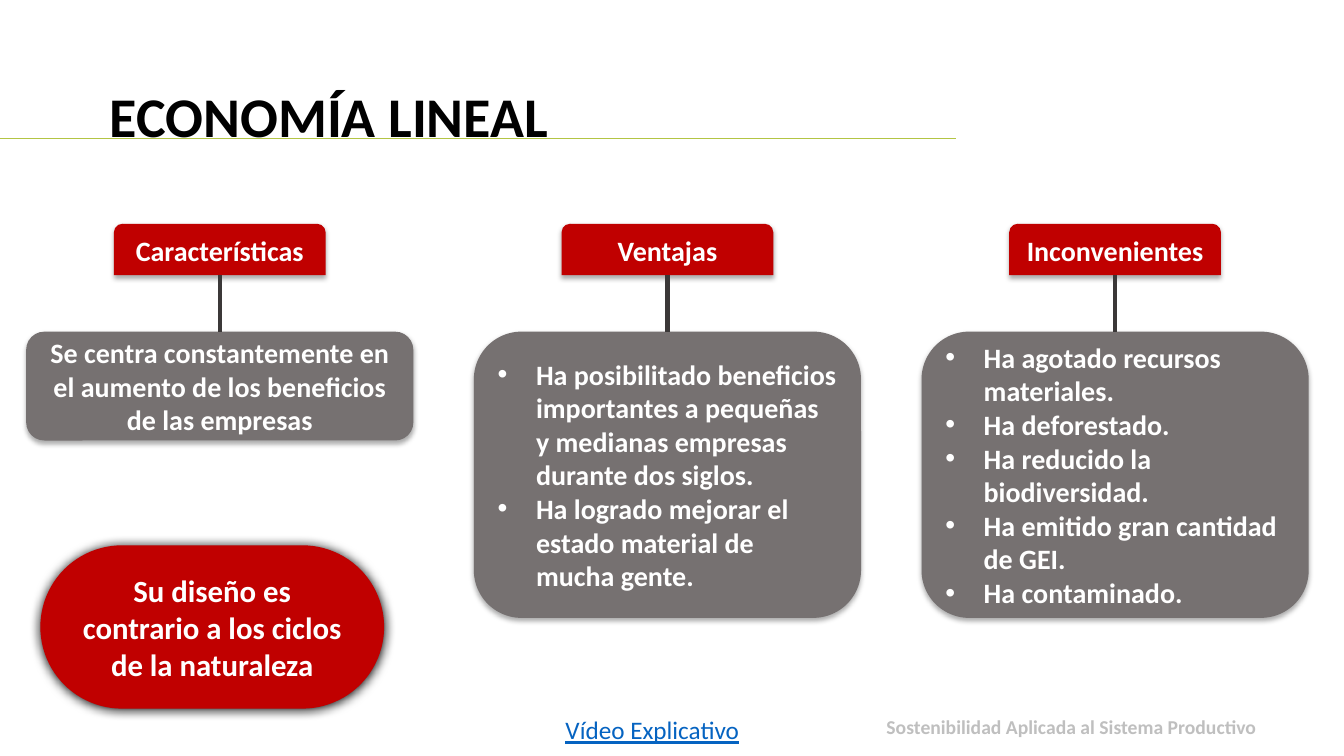
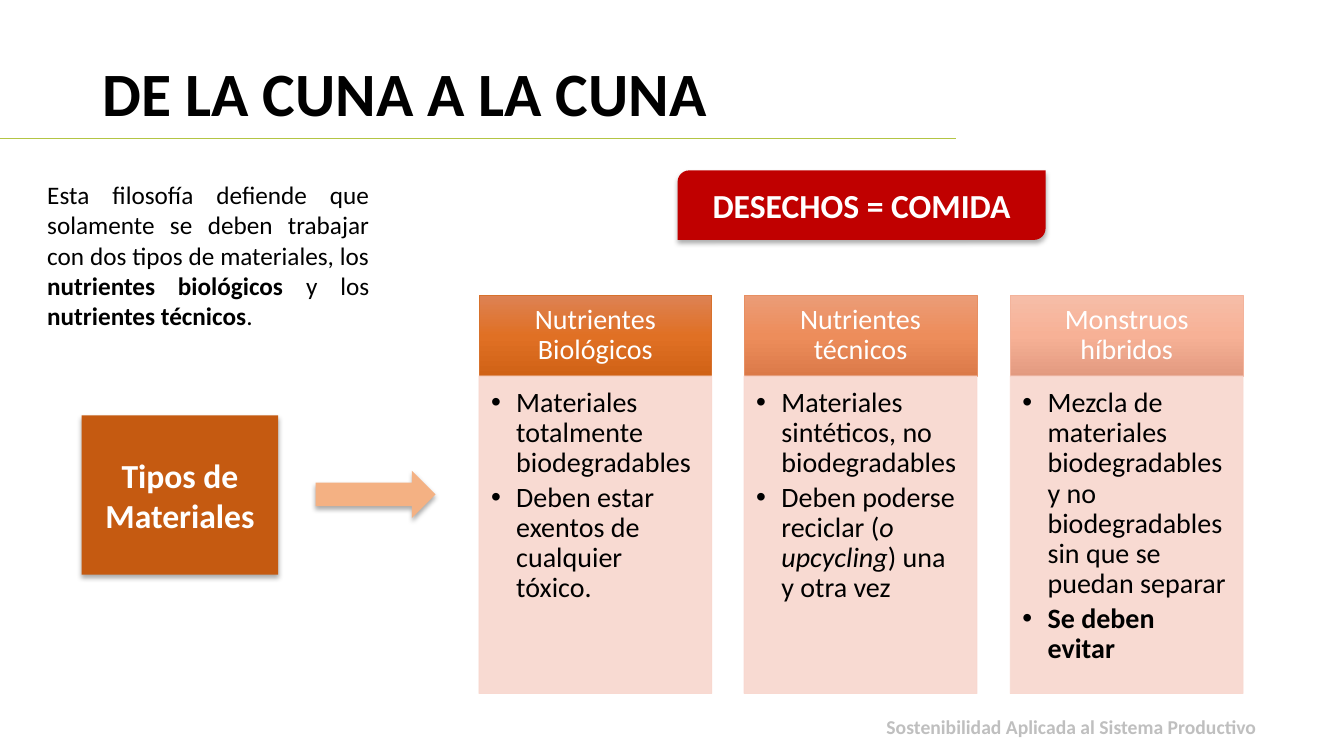
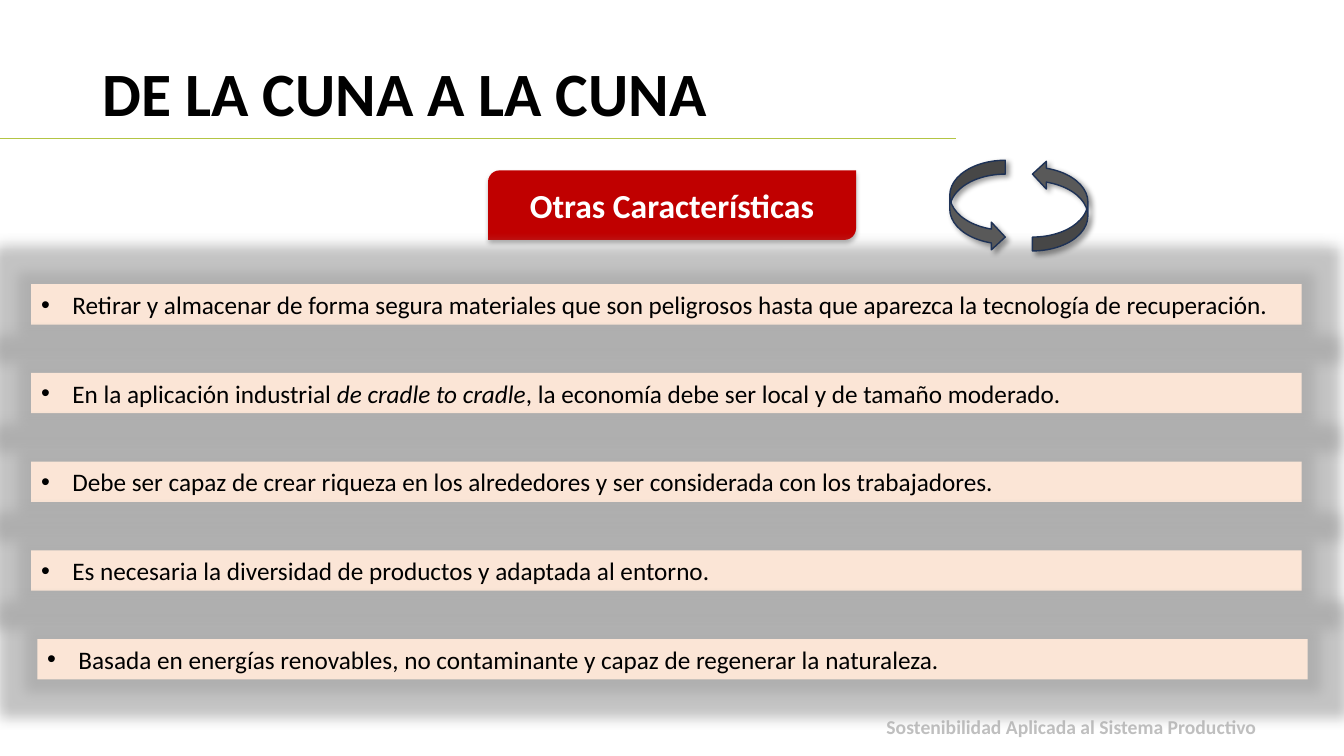
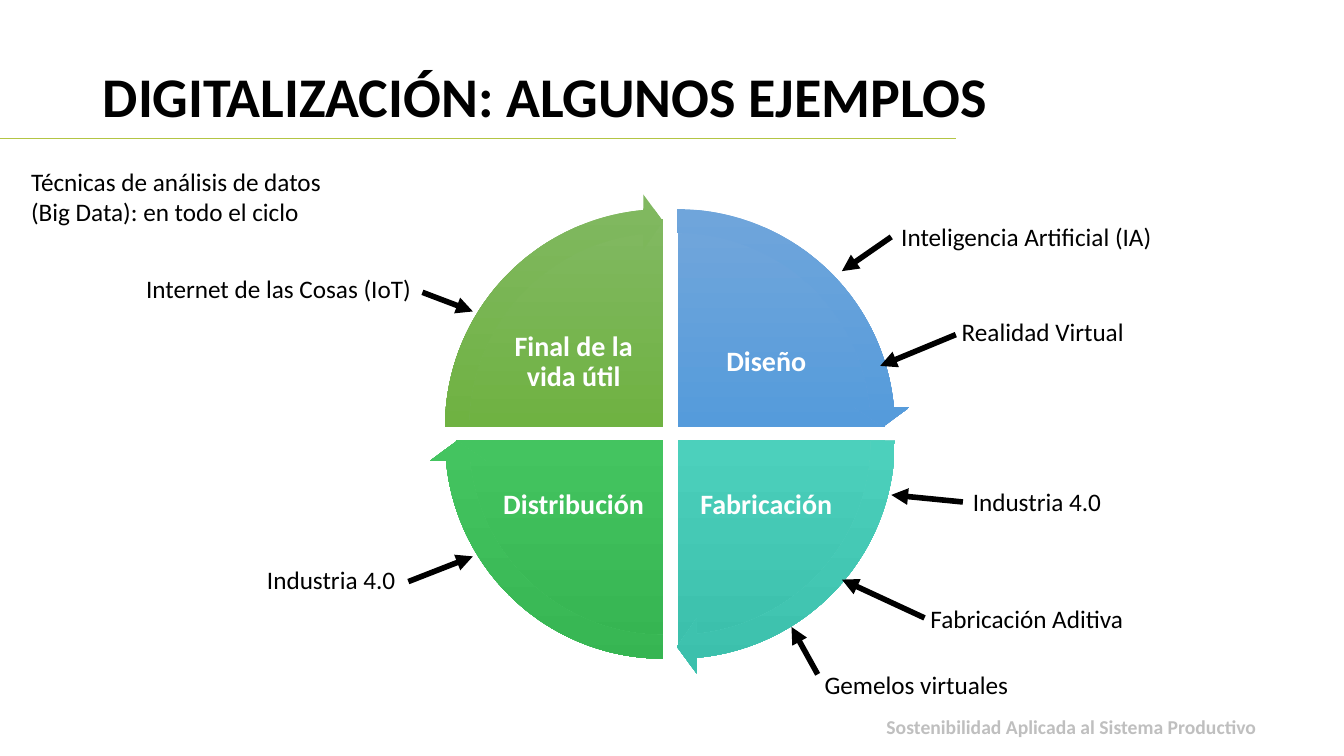
from copy import deepcopy
from dataclasses import dataclass
from typing import NamedTuple, Sequence

from lxml.etree import SubElement
from pptx import Presentation
from pptx.dml.color import RGBColor
from pptx.enum.shapes import MSO_CONNECTOR, MSO_SHAPE as Kind
from pptx.enum.text import MSO_ANCHOR as Anchor, MSO_AUTO_SIZE as Fit, PP_ALIGN as Align
from pptx.oxml.ns import qn
from pptx.shapes.autoshape import Shape
from pptx.shapes.connector import Connector
from pptx.slide import Slide
from pptx.util import Emu, Pt

SCALE = 9144  # EMU in one px, 100 px to the inch
FONT = "Calibri"
RED, GREY, WHITE, BLACK = "C00000", "767171", "FFFFFF", "000000"
LIME, SILVER, BLUE = "B3C544", "BFBFBF", "0563C1"
RUST, PEACH, CREAM, ROSE = "C55A11", "F4B183", "FBE5D6", "F8D7CE"
TURN = 216  # full circle, in the units of shape adjustments


class Box(NamedTuple):
    x: int
    y: int
    w: int
    h: int


class Run(NamedTuple):
    text: str
    bold: bool = False
    slant: bool = False
    under: bool = False


Para = Sequence[Run]


class Glow(NamedTuple):
    """Shadow: opacity in percent, blur and distance in points, angle."""
    alpha: int
    blur: float
    dist: float
    angle: int


SOFT = Glow(32, 3.5, 2.2, 90)
HARD = Glow(100, 8.5, 1, 90)
SLANT = Glow(40, 4, 3, 45)


@dataclass(frozen=True)
class Look:
    size: int
    hue: str = WHITE
    align: Align = Align.CENTER
    anchor: Anchor = Anchor.MIDDLE
    ins: tuple[int, int, int, int] = (10, 5, 10, 5)
    hang: int = 0
    lead: float = 1
    after: int = 0
    grow: bool = False


NOTE = Look(18, BLACK, Align.LEFT, Anchor.TOP, grow=True)
HEAD = Look(20)
LIST = Look(20, align=Align.LEFT, hang=38)
BANNER = Look(24)
FOOT = Look(14, SILVER, Align.RIGHT, Anchor.TOP, lead=0.9)


class Column(NamedTuple):
    head: str
    high: int
    look: Look
    paras: Sequence[Para]


class Card(NamedTuple):
    head: str
    hues: tuple[str, str, str]
    edge: str
    paras: Sequence[Para]


class Part(NamedTuple):
    name: str
    east: int
    south: int
    start: int
    hues: tuple[str, str, str]


class Tag(NamedTuple):
    text: str
    box: Box
    tail: tuple[int, int]
    tip: tuple[int, int]


def px(num: int) -> Emu:
    return Emu(num * SCALE)


def rgb(code: str) -> RGBColor:
    return RGBColor.from_string(code)


def bold(text: str) -> Para:
    return [Run(text, True)]


def plain(text: str) -> Para:
    return [Run(text)]


def write(shape: Shape, paras: Sequence[Para], look: Look) -> None:
    frame = shape.text_frame
    frame.word_wrap = True
    frame.auto_size = Fit.SHAPE_TO_FIT_TEXT if look.grow else Fit.NONE
    frame.vertical_anchor = look.anchor
    (frame.margin_left, frame.margin_top,
     frame.margin_right, frame.margin_bottom) = map(px, look.ins)
    for num, runs in enumerate(paras):
        para = frame.add_paragraph() if num else frame.paragraphs[0]
        para.alignment = look.align
        para.line_spacing = look.lead
        para.space_after = Pt(look.after)
        if look.hang:
            props = para._p.get_or_add_pPr()
            props.set("marL", str(px(look.hang)))
            props.set("indent", str(-px(look.hang)))
            SubElement(props, qn("a:buFont"), typeface="Arial")
            SubElement(props, qn("a:buChar"), char="•")
        for part in runs:
            run = para.add_run()
            run.text = part.text
            font = run.font
            font.name, font.size = FONT, Pt(look.size)
            font.bold, font.italic, font.underline = part.bold, part.slant, part.under
            font.color.rgb = rgb(look.hue)


def effect(shape: Shape, name: str, hue: str, alpha: int, **attrs: str) -> None:
    """Add one effect, such as a shadow or a glow, to a shape."""
    node = SubElement(shape.element.spPr.find(qn("a:effectLst")), qn(name), **attrs)
    tint = SubElement(node, qn("a:srgbClr"), val=hue)
    SubElement(tint, qn("a:alpha"), val=str(alpha * 1000))


def draw(slide: Slide, kind: Kind, box: Box, fill: str | Sequence[str],
         edge: str = "", width: float = 0.5, glow: Glow | None = None,
         adj: Sequence[float] = ()) -> Shape:
    """Add a preset shape; several fill colours make a downward gradient."""
    shape = slide.shapes.add_shape(kind, *map(px, box))
    shape.shadow.inherit = False
    for num, value in enumerate(adj):
        shape.adjustments[num] = value
    if isinstance(fill, str):
        shape.fill.solid()
        shape.fill.fore_color.rgb = rgb(fill)
    else:
        shape.fill.gradient()
        shape.fill.gradient_angle = 270
        stops = shape.element.spPr.find(f"{qn('a:gradFill')}/{qn('a:gsLst')}")
        stops.append(deepcopy(stops[0]))
        for num, (stop, hue) in enumerate(zip(shape.fill.gradient_stops, fill)):
            stop.color.rgb = rgb(hue)
            stop.position = num / 2
    if edge:
        shape.line.color.rgb = rgb(edge)
        shape.line.width = Pt(width)
    else:
        shape.line.fill.background()
    if glow:
        effect(shape, "a:outerShdw", BLACK, glow.alpha,
               blurRad=str(Pt(glow.blur)), dist=str(Pt(glow.dist)),
               dir=str(glow.angle * 60000), algn="ctr", rotWithShape="0")
    return shape


def label(slide: Slide, box: Box, paras: Sequence[Para], look: Look) -> Shape:
    shape = slide.shapes.add_textbox(*map(px, box))
    write(shape, paras, look)
    return shape


def wire(slide: Slide, start: tuple[int, int], end: tuple[int, int],
         hue: str, width: float, arrow: bool = False) -> Connector:
    line = slide.shapes.add_connector(
        MSO_CONNECTOR.STRAIGHT, *map(px, start + end))
    line.line.color.rgb = rgb(hue)
    line.line.width = Pt(width)
    if arrow:
        SubElement(line.line._get_or_add_ln(), qn("a:tailEnd"), type="triangle")
    SubElement(line.element.spPr, qn("a:effectLst"))
    return line


def start_slide(deck: Presentation, title: str, size: int, box: Box,
                anchor: Anchor, top: int = 5) -> Slide:
    """Add a slide with its title, rule and footer."""
    slide = deck.slides.add_slide(deck.slide_layouts[5])
    head = slide.shapes.title
    head.left, head.top, head.width, head.height = map(px, box)
    write(head, [bold(title)],
          Look(size, BLACK, Align.LEFT, anchor, (10, top, 10, 5), lead=0.9))
    wire(slide, (0, 137), (948, 137), LIME, 0.5)
    label(slide, Box(736, 707, 520, 49),
          [bold("Sostenibilidad Aplicada al Sistema Productivo")], FOOT)
    return slide


def banner(slide: Slide, x: int, text: str) -> None:
    shape = draw(slide, Kind.ROUND_2_DIAG_RECTANGLE, Box(x, 169, 365, 69), RED, glow=SOFT)
    write(shape, [bold(text)], BANNER)


TITLE = Box(92, 58, 1006, 145)

COLUMNS = [
    Column("Características", 108, HEAD, [bold(
        "Se centra constantemente en el aumento de los beneficios de las empresas")]),
    Column("Ventajas", 284, LIST, [
        bold("Ha posibilitado beneficios importantes a pequeñas y medianas "
             "empresas durante dos siglos."),
        bold("Ha logrado mejorar el estado material de mucha gente.")]),
    Column("Inconvenientes", 284, LIST, [
        bold("Ha agotado recursos materiales."),
        bold("Ha deforestado."),
        bold("Ha reducido la biodiversidad."),
        bold("Ha emitido gran cantidad de GEI."),
        bold("Ha contaminado.")]),
]

CARDS = [
    Card("Nutrientes Biológicos", ("DD8254", "E07024", "D06216"), "D7712C", [
        plain("Materiales totalmente biodegradables"),
        plain("Deben estar exentos de cualquier tóxico.")]),
    Card("Nutrientes técnicos", ("EB9C77", "ED8D5B", "DB7A49"), "E78F62", [
        plain("Materiales sintéticos, no biodegradables"),
        [Run("Deben poderse reciclar ("), Run("o upcycling", slant=True),
         Run(") una y otra vez")]]),
    Card("Monstruos híbridos", ("F6BDA8", "F7B196", "E29A80"), "F3B39B", [
        plain("Mezcla de materiales biodegradables y no biodegradables "
              "sin que se puedan separar"),
        bold("Se deben evitar")]),
]

TRAITS = [
    plain("Retirar y almacenar de forma segura materiales que son peligrosos "
          "hasta que aparezca la tecnología de recuperación."),
    [Run("En la aplicación industrial "), Run("de cradle to cradle", slant=True),
     Run(", la economía debe ser local y de tamaño moderado.")],
    plain("Debe ser capaz de crear riqueza en los alrededores y ser "
          "considerada con los trabajadores."),
    plain("Es necesaria la diversidad de productos y adaptada al entorno."),
    plain("Basada en energías renovables, no contaminante y capaz de "
          "regenerar la naturaleza."),
]

PARTS = [
    Part("Diseño", 1, 0, 162, ("71A6DB", "559BDB", "448ACA")),
    Part("Fabricación", 1, 1, 0, ("6AD1C0", "4CD0BC", "3CC0AC")),
    Part("Distribución", 0, 1, 54, ("64C677", "44C460", "36B552")),
    Part("Final de la vida útil", 0, 0, 108, ("81B861", "6FB242", "62A336")),
]

TAGS = [
    Tag("Inteligencia Artificial (IA)", Box(884, 215, 306, 40), (884, 235), (835, 269)),
    Tag("Realidad Virtual", Box(944, 309, 244, 40), (948, 332), (873, 363)),
    Tag("Industria 4.0", Box(955, 478, 244, 40), (955, 498), (884, 491)),
    Tag("Fabricación Aditiva", Box(913, 594, 266, 40), (917, 613), (835, 575)),
    Tag("Gemelos virtuales", Box(808, 659, 305, 40), (811, 669), (785, 622)),
    Tag("Internet de las Cosas (IoT)", Box(135, 266, 311, 40), (419, 290), (469, 309)),
    Tag("Industria 4.0", Box(255, 555, 244, 40), (405, 577), (469, 552)),
]


def linear(deck: Presentation) -> None:
    slide = start_slide(deck, "ECONOMÍA LINEAL", 40, Box(99, 46, 1006, 145), Anchor.MIDDLE)
    for num, col in enumerate(COLUMNS):
        x = 26 + 444 * num
        head = draw(slide, Kind.ROUND_2_SAME_RECTANGLE, Box(x + 87, 222, 210, 51),
                    RED, glow=SOFT)
        write(head, [bold(col.head)], HEAD)
        body = draw(slide, Kind.ROUNDED_RECTANGLE, Box(x, 329, 384, col.high),
                    GREY, glow=SOFT)
        write(body, col.paras, col.look)
        stem = wire(slide, (x + 192, 329), (x + 192, 273), "3B3838", 3)
        stem.begin_connect(body, 0)
    pill = draw(slide, Kind.ROUNDED_RECTANGLE, Box(40, 541, 341, 162), RED,
                glow=HARD, adj=[0.5])
    write(pill, [bold("Su diseño es contrario a los ciclos de la naturaleza")], Look(22))
    label(slide, Box(502, 704, 290, 40), [[Run("Vídeo Explicativo", under=True)]],
          Look(18, BLUE, anchor=Anchor.TOP, grow=True))


def cradle(deck: Presentation) -> None:
    slide = start_slide(deck, "DE LA CUNA A LA CUNA", 44, TITLE, Anchor.TOP)
    banner(slide, 672, "DESECHOS = COMIDA")
    top = Look(20, ins=(16, 9, 16, 9), lead=0.9)
    text = Look(20, BLACK, Align.LEFT, Anchor.TOP, (12, 12, 16, 17), 25, 0.9, 3)
    for num, card in enumerate(CARDS):
        x = 475 + 527 * num // 2
        head = draw(slide, Kind.RECTANGLE, Box(x, 293, 231, 80), card.hues, card.edge)
        write(head, [plain(card.head)], top)
        body = draw(slide, Kind.RECTANGLE, Box(x, 373, 231, 315), ROSE, ROSE)
        for tint in body.element.spPr.iter(qn("a:srgbClr")):
            SubElement(tint, qn("a:alpha"), val="90000")
        write(body, card.paras, text)
    kinds = draw(slide, Kind.RECTANGLE, Box(81, 412, 195, 158), RUST, glow=SOFT)
    write(kinds, [bold("Tipos de Materiales")], BANNER)
    draw(slide, Kind.RIGHT_ARROW, Box(313, 467, 119, 47), PEACH, glow=SOFT)
    label(slide, Box(37, 173, 339, 162), [[
        Run("Esta filosofía defiende que solamente se deben trabajar con dos "
            "tipos de materiales, los "),
        Run("nutrientes biológicos ", True), Run("y los "),
        Run("nutrientes técnicos", True), Run(".")]],
        Look(18, BLACK, Align.JUSTIFY, Anchor.TOP, grow=True))


def traits(deck: Presentation) -> None:
    slide = start_slide(deck, "DE LA CUNA A LA CUNA", 44, TITLE, Anchor.TOP)
    banner(slide, 484, "Otras Características")
    look = Look(18, BLACK, Align.LEFT, Anchor.TOP, hang=31, grow=True)
    for num, para in enumerate(TRAITS):
        x = 37 if para is TRAITS[-1] else 31
        bar = draw(slide, Kind.RECTANGLE, Box(x, 282 + 88 * num, 1260, 40), CREAM)
        effect(bar, "a:glow", "A5A5A5", 65, rad=str(Pt(18)))
        write(bar, [para], look)
    for x in (942, 1024):
        arrow = draw(slide, Kind.CURVED_RIGHT_ARROW, Box(x, 159, 55, 90), "595959",
                     "1E3256", 1, SLANT)
    for flip in ("flipH", "flipV"):
        arrow.element.spPr.xfrm.set(flip, "1")


def digital(deck: Presentation) -> None:
    slide = start_slide(deck, "DIGITALIZACIÓN: ALGUNOS EJEMPLOS", 40, TITLE, Anchor.TOP, 11)
    name = Look(20, ins=(3, 3, 3, 3), lead=0.9)
    for part in PARTS:
        draw(slide, Kind.PIE, Box(452 + 14 * part.east, 217 + 14 * part.south, 412, 412),
             part.hues, adj=[part.start, (part.start + TURN // 4) % TURN])
        label(slide, Box(493 + 191 * part.east, 303 + 142 * part.south, 152, 113),
              [bold(part.name)], name)
    for part in PARTS:
        draw(slide, Kind.CIRCULAR_ARROW,
             Box(426 + 14 * part.east, 192 + 14 * part.south, 463, 463), part.hues,
             adj=[0.051, 3.275, part.start + 50.725, part.start, 0.059])
    label(slide, Box(21, 160, 323, 71),
          [plain("Técnicas de análisis de datos (Big Data): en todo el ciclo")], NOTE)
    for tag in TAGS:
        note = label(slide, tag.box, [plain(tag.text)], NOTE)
        line = wire(slide, tag.tail, tag.tip, BLACK, 4, True)
        if tag.tail == (tag.box.x, tag.box.y + tag.box.h // 2):
            line.begin_connect(note, 1)


def main() -> None:
    deck = Presentation()
    deck.slide_width, deck.slide_height = px(1333), px(750)
    for build in (linear, cradle, traits, digital):
        build(deck)
    deck.save("out.pptx")


if __name__ == "__main__":
    main()
